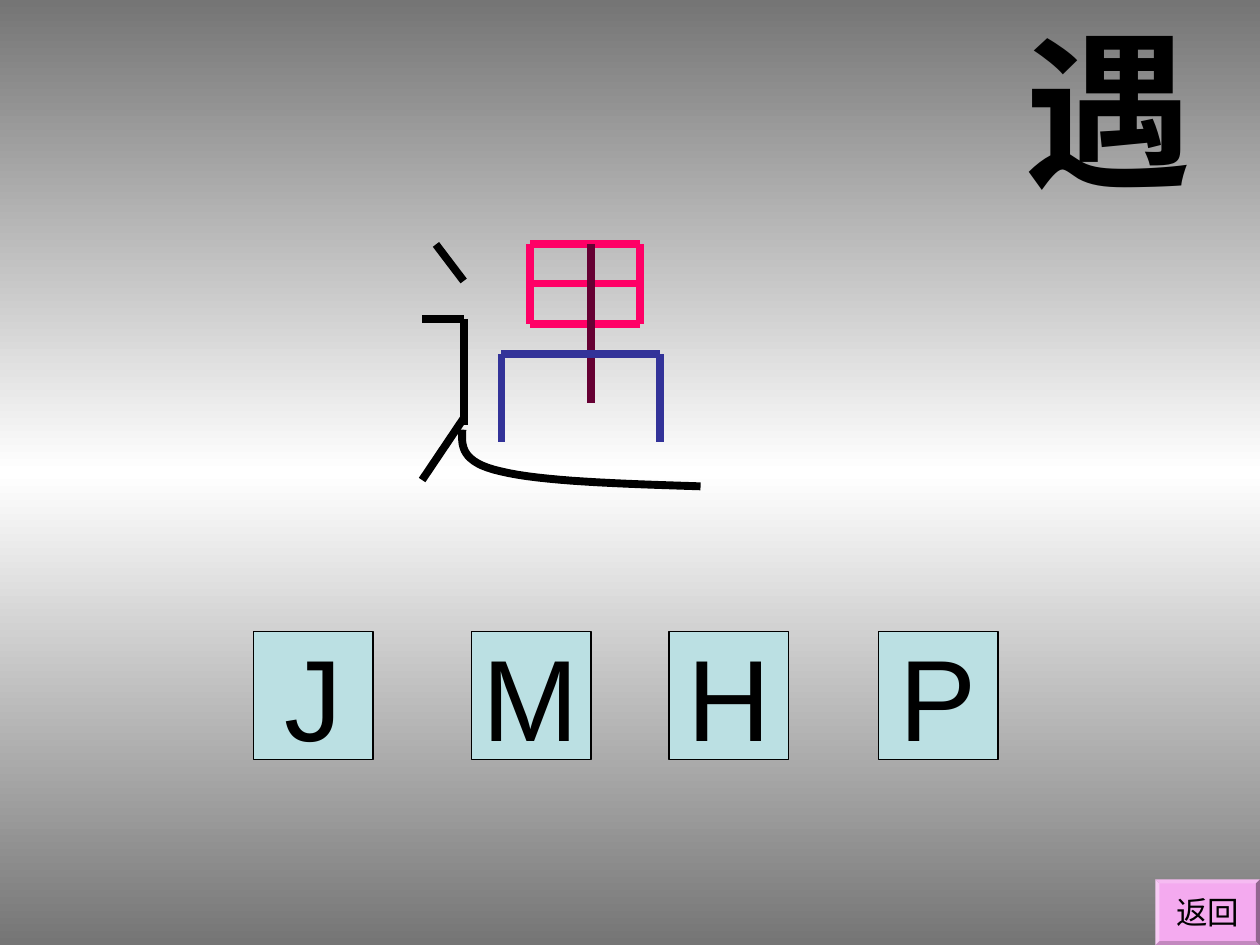
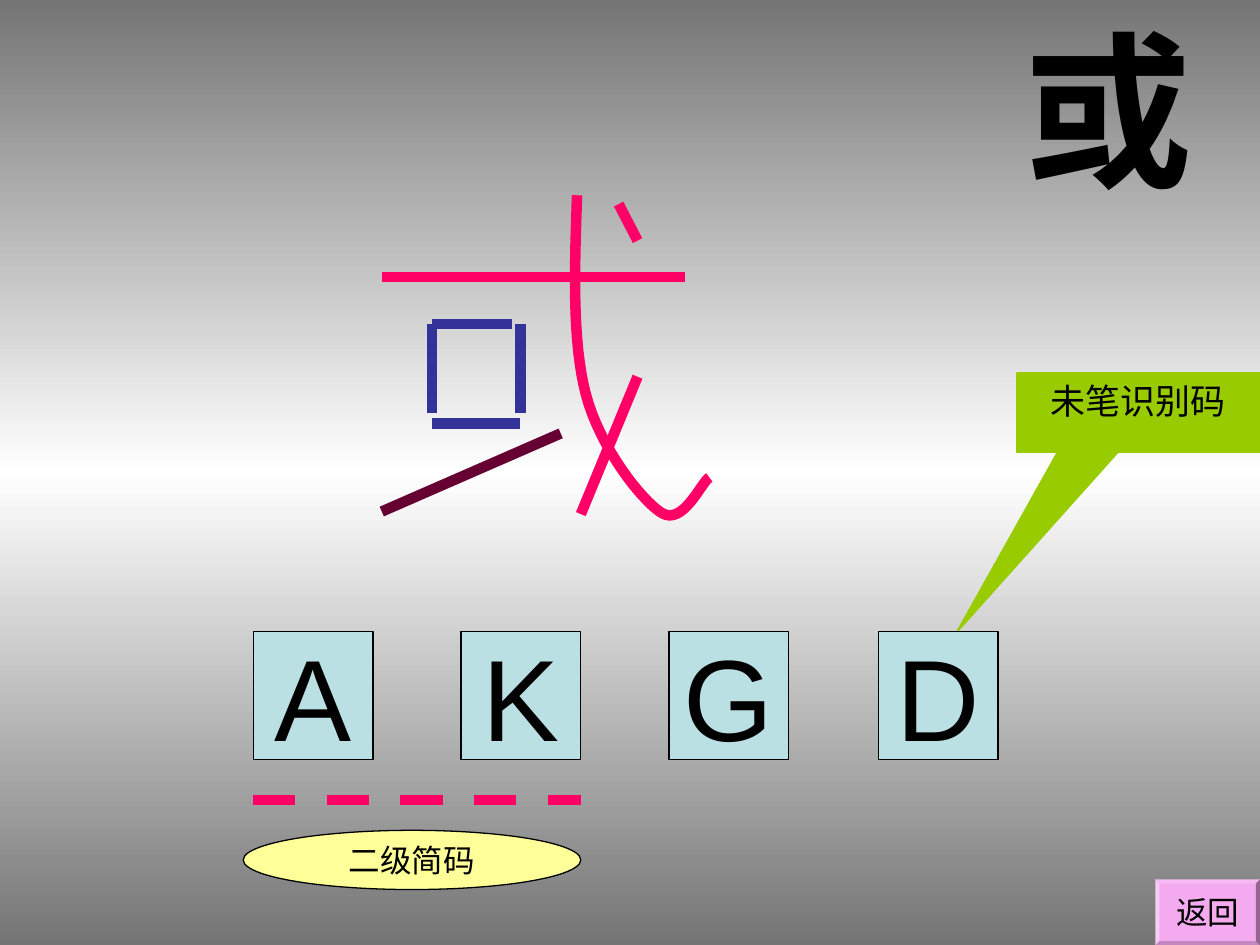
from copy import deepcopy
from dataclasses import dataclass

from lxml import etree
from pptx import Presentation
from pptx.dml.color import RGBColor
from pptx.enum.dml import MSO_LINE
from pptx.enum.shapes import MSO_CONNECTOR, MSO_SHAPE
from pptx.enum.text import MSO_ANCHOR, MSO_AUTO_SIZE, PP_ALIGN
from pptx.oxml.ns import qn
from pptx.util import Inches, Pt

STRAIGHT = MSO_CONNECTOR.STRAIGHT
RECTANGLE, ELLIPSE = MSO_SHAPE.RECTANGLE, MSO_SHAPE.OVAL
BEVEL, CALLOUT = MSO_SHAPE.BEVEL, MSO_SHAPE.RECTANGULAR_CALLOUT
TOP, MIDDLE = MSO_ANCHOR.TOP, MSO_ANCHOR.MIDDLE
LEFT, CENTER = PP_ALIGN.LEFT, PP_ALIGN.CENTER
DASH = MSO_LINE.DASH
CURVE_STEPS = 16


@dataclass(frozen=True)
class Theme:
    """Colours, font and sizes shared by the slides."""

    font: str = "Arial"
    black: str = "000000"
    gray: str = "757575"
    white: str = "FFFFFF"
    pink: str = "FF0066"
    plum: str = "660033"
    blue: str = "333399"
    key: str = "BBE0E3"
    button: str = "F4AAEF"
    callout: str = "99CC00"
    note: str = "FFFF99"
    heading_size: int = 96
    key_size: int = 66
    callout_size: int = 20
    label_size: int = 18
    outline: float = 0.75
    thin_stroke: float = 4.5
    thick_stroke: float = 6


def write_text(shape, text, size, color, font, bold=False, align=CENTER,
               anchor=MIDDLE, wrap=False, space_before=0):
    """Write one formatted paragraph into a shape."""
    frame = shape.text_frame
    frame.word_wrap = wrap
    frame.vertical_anchor = anchor
    paragraph = frame.paragraphs[0]
    paragraph.alignment = align
    paragraph.space_before = Pt(space_before)
    run = paragraph.add_run()
    run.text = text
    run.font.name, run.font.size, run.font.bold = font, Pt(size), bold
    run.font.color.rgb = RGBColor.from_string(color)


def bezier_points(points):
    """Sample a chain of cubic curves: a start, then three points per curve."""
    samples = [points[0]]
    for first in range(0, len(points) - 1, 3):
        corners = points[first:first + 4]
        for step in range(1, CURVE_STEPS + 1):
            t = step / CURVE_STEPS
            weights = ((1 - t) ** 3, 3 * t * (1 - t) ** 2, 3 * t * t * (1 - t), t ** 3)
            samples.append(tuple(
                sum(weight * corner[axis] for weight, corner in zip(weights, corners))
                for axis in (0, 1)))
    return samples


class Deck:
    """Holds the style and the current slide."""

    def __init__(self, theme):
        """Start a 10 by 7.5 inch presentation with the shared background."""
        self.theme = theme
        self.presentation = Presentation()
        self.presentation.slide_width = Inches(10)
        self.presentation.slide_height = Inches(7.5)
        self.slide = None
        self.background()

    def background(self):
        """Give the master a gray, white, gray vertical gradient."""
        theme = self.theme
        master = self.presentation.slide_master
        fill = master.background.fill
        fill.gradient()
        fill.gradient_angle = 90
        stop_list = master.element.find(".//" + qn("a:gsLst"))
        stop_list.append(deepcopy(stop_list[0]))
        stops = zip(fill.gradient_stops, (0, 0.5, 1), (theme.gray, theme.white, theme.gray))
        for stop, position, color in stops:
            stop.position = position
            stop.color.rgb = RGBColor.from_string(color)

    def new_slide(self, character):
        """Add a slide with its large character and the return button."""
        theme = self.theme
        self.slide = self.presentation.slides.add_slide(self.presentation.slide_layouts[6])
        box = self.slide.shapes.add_textbox(Inches(8.03), 0, Inches(1.97), Inches(1.7))
        write_text(box, character, theme.heading_size, theme.black, theme.font,
                   bold=True, align=LEFT, anchor=TOP, wrap=True, space_before=60)
        box.text_frame.auto_size = MSO_AUTO_SIZE.SHAPE_TO_FIT_TEXT
        self.label(BEVEL, (9.17, 6.98, 0.83, 0.52), theme.button, "返回",
                   theme.label_size, outline=None, adjustments=(0.06,))

    def label(self, kind, place, fill, text, size, outline=Theme.black,
              adjustments=(), **text_format):
        """Add a filled preset shape with text."""
        shape = self.slide.shapes.add_shape(kind, *map(Inches, place))
        shape.shadow.inherit = False
        for index, value in enumerate(adjustments):
            shape.adjustments[index] = value
        shape.fill.solid()
        shape.fill.fore_color.rgb = RGBColor.from_string(fill)
        if outline:
            self.pen(shape.line, outline, self.theme.outline)
        else:
            shape.line.fill.background()
        write_text(shape, text, size, self.theme.black, self.theme.font, **text_format)

    def keys(self, letters, shifts=(0, 0, 0, 0)):
        """Add a row of equally spaced keyboard keys, each with its own shift."""
        for index, (letter, shift) in enumerate(zip(letters, shifts)):
            place = (2.01 + 1.65 * index + shift, 5.01, 0.95, 1.02)
            self.label(RECTANGLE, place, self.theme.key, letter, self.theme.key_size)

    def pen(self, line, color, weight, dash=None):
        """Set the colour, weight and dash of a line."""
        line.color.rgb = RGBColor.from_string(color)
        line.width = Pt(weight)
        if dash:
            line.dash_style = dash

    def line(self, shapes, start, end, color, weight, dash=None):
        """Add a straight stroke."""
        connector = shapes.add_connector(STRAIGHT, *map(Inches, (*start, *end)))
        self.pen(connector.line, color, weight, dash)
        etree.SubElement(connector.element.spPr, qn("a:effectLst"))

    def curve(self, shapes, points, color, weight):
        """Add an open curved stroke."""
        start, *rest = [tuple(map(Inches, point)) for point in bezier_points(points)]
        builder = shapes.build_freeform(*start)
        builder.add_line_segments(rest, close=False)
        shape = builder.convert_to_shape()
        shape.shadow.inherit = False
        shape.fill.background()
        self.pen(shape.line, color, weight)

    def strokes(self, color, weight, *paths):
        """Group strokes: two points make a line, more make a curve."""
        shapes = self.slide.shapes
        if len(paths) > 1:
            shapes = shapes.add_group_shape().shapes
        for points in paths:
            if len(points) == 2:
                self.line(shapes, *points, color, weight)
            else:
                self.curve(shapes, points, color, weight)


def build_meet(deck):
    """Build the slide that splits the character 遇."""
    theme = deck.theme
    weight = theme.thin_stroke
    deck.new_slide("遇")
    deck.keys("JMHP", shifts=(0, 0.08, 0, 0.01))
    left, right, top, center, bottom = 4.21, 5.08, 1.94, 2.25, 2.57
    deck.strokes(theme.pink, weight,
                 *[((x, top), (x, bottom)) for x in (left, right)],
                 *[((left, y), (right, y)) for y in (top, center, bottom)])
    deck.strokes(theme.plum, weight, ((4.69, 1.94), (4.69, 3.2)))
    left, right, top, bottom = 3.98, 5.24, 2.81, 3.51
    deck.strokes(theme.blue, weight,
                 ((left, top), (left, bottom)),
                 ((left, top), (right, top)),
                 ((right, top), (right, bottom)))
    deck.strokes(theme.black, weight,
                 ((3.46, 1.94), (3.68, 2.23)),
                 ((3.35, 2.53), (3.68, 2.53)),
                 ((3.68, 2.53), (3.68, 3.37)),
                 ((3.68, 3.32), (3.35, 3.81)),
                 ((3.67, 3.41), (3.66, 3.54), (3.66, 3.67), (3.97, 3.74),
                  (4.29, 3.82), (4.92, 3.84), (5.56, 3.86)))


def build_or(deck):
    """Build the slide that splits the character 或."""
    theme = deck.theme
    weight = theme.thick_stroke
    deck.new_slide("或")
    deck.label(CALLOUT, (8.07, 2.96, 1.93, 0.63), theme.callout, "未笔识别码",
               theme.callout_size, outline=theme.callout,
               adjustments=(-0.75, 2.78), anchor=TOP, wrap=True)
    deck.keys("AKGD", shifts=(0, 0, 0, 0.01))
    left, right, top, bottom = 3.43, 4.13, 2.57, 3.28
    deck.strokes(theme.blue, weight,
                 ((left, top), (left, bottom)),
                 ((left, top), (4.06, top)),
                 ((right, top), (right, bottom)),
                 ((left, 3.36), (right, 3.36)))
    deck.strokes(theme.plum, weight, ((3.03, 4.06), (4.45, 3.44)))
    deck.strokes(theme.pink, weight,
                 ((3.03, 2.2), (5.44, 2.2)),
                 ((4.58, 1.55), (4.56, 2.13), (4.54, 2.71), (4.65, 3.13),
                  (4.76, 3.55), (5.09, 3.97), (5.25, 4.07),
                  (5.42, 4.18), (5.57, 3.82), (5.63, 3.79)),
                 ((4.91, 1.62), (5.06, 1.91)),
                 ((5.06, 2.99), (4.61, 4.08)))
    deck.line(deck.slide.shapes, (2.01, 6.35), (4.61, 6.35), theme.pink, weight, DASH)
    deck.label(ELLIPSE, (1.93, 6.59, 2.68, 0.47), theme.note, "二级简码", theme.label_size)


def main():
    """Build both slides and save them."""
    deck = Deck(Theme())
    build_meet(deck)
    build_or(deck)
    deck.presentation.save("out.pptx")


main()
